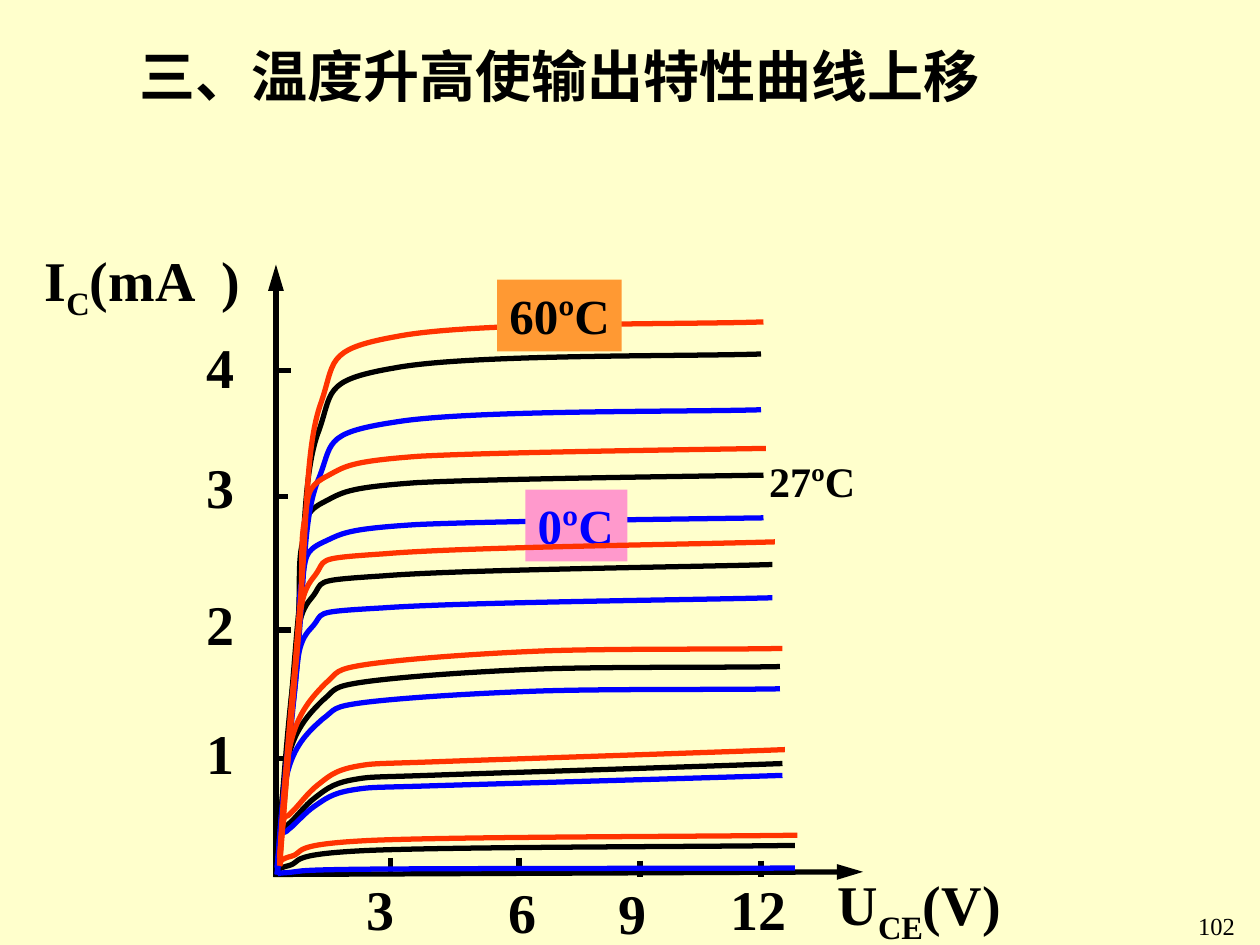
from lxml.etree import SubElement
from pptx import Presentation
from pptx.dml.color import RGBColor
from pptx.enum.shapes import MSO_CONNECTOR as Connector, MSO_SHAPE as Shape
from pptx.enum.text import MSO_ANCHOR as Anchor, MSO_AUTO_SIZE as AutoSize, PP_ALIGN as Align
from pptx.oxml.ns import qn
from pptx.util import Pt

CREAM = RGBColor(0xFF, 0xFF, 0xCC)
BLACK = RGBColor(0x00, 0x00, 0x00)
BLUE = RGBColor(0x00, 0x00, 0xFF)
RED = RGBColor(0xFF, 0x33, 0x00)
PINK = RGBColor(0xFF, 0x99, 0xCC)
ORANGE = RGBColor(0xFF, 0x99, 0x33)
SUBSCRIPT = {"baseline": "-25000"}
WIDE_GAP = {"spc": "650"}

deck = Presentation()
deck.slide_width, deck.slide_height = Pt(720), Pt(540)
slide = deck.slides.add_slide(deck.slide_layouts[6])
slide.background.fill.solid()
slide.background.fill.fore_color.rgb = CREAM
shapes = slide.shapes


def add_label(box, runs, size=32, color=BLACK, bold=True, align=Align.CENTER,
              anchor=Anchor.MIDDLE, wrap=False, fit=AutoSize.SHAPE_TO_FIT_TEXT, fill=None):
    """Put text, given as (wording, run properties) pairs, on a plain or filled box."""
    place = [Pt(value) for value in box]
    if fill is None:
        label = shapes.add_textbox(*place)
    else:
        label = shapes.add_shape(Shape.RECTANGLE, *place)
        label.shadow.inherit = False
        label.fill.solid()
        label.fill.fore_color.rgb = fill
        label.line.fill.background()
    frame = label.text_frame
    frame_format = {"word_wrap": wrap, "auto_size": fit, "vertical_anchor": anchor,
                    "margin_left": Pt(7.2 if align == Align.LEFT else 3), "margin_right": Pt(3)}
    for name, value in frame_format.items():
        setattr(frame, name, value)
    paragraph = frame.paragraphs[0]
    paragraph.alignment = align
    for wording, properties in runs:
        run = paragraph.add_run()
        run.text = wording
        font_format = {"name": "Times New Roman", "size": Pt(size), "bold": bold}
        for name, value in font_format.items():
            setattr(run.font, name, value)
        run.font.color.rgb = color
        for name, value in properties.items():
            run._r.get_or_add_rPr().set(name, value)


def add_stroke(x1, y1, x2, y2, arrow=False):
    """Draw an axis or a tick mark."""
    stroke = shapes.add_connector(Connector.STRAIGHT, Pt(x1), Pt(y1), Pt(x2), Pt(y2))
    stroke.line.color.rgb = BLACK
    stroke.line.width = Pt(3)
    if arrow:
        SubElement(stroke.line._get_or_add_ln(), qn("a:tailEnd"), type="triangle", len="lg")
    SubElement(stroke._element.spPr, qn("a:effectLst"))


# Heading
add_label((72.7, 20.2, 494.6, 46), [("三、温度升高使输出特性曲线上移", {})],
          align=Align.LEFT, anchor=Anchor.TOP)

# Current axis
add_label((18.4, 136.4, 144.7, 51),
          [("I", {}), ("C", SUBSCRIPT), ("(mA", {}), (" ", WIDE_GAP), (")", {})],
          align=Align.LEFT, wrap=True)
add_stroke(157.7, 501, 157.7, 151.2, arrow=True)
for current, tick_x, tick_y, label_y in [("1", 159, 433.4, 406.8), ("2", 157.7, 360, 333),
                                         ("3", 156.2, 283.7, 254.9), ("4", 157.7, 211.7, 186)]:
    add_stroke(tick_x, tick_y, tick_x + 8.6, tick_y)
    add_label((110.9, label_y, 30.2, 46), [(current, {})])

# Voltage axis
add_stroke(156.2, 499.7, 493.2, 498.2, arrow=True)
for voltage, tick_x, tick_y, label_x, label_y, width in [
        ("3", 223.2, 490.3, 202.3, 496, 30.2), ("6", 296.6, 490.3, 283.7, 497.5, 30.2),
        ("9", 365.8, 491.8, 346.3, 498.2, 30.2), ("12", 434.9, 491.8, 410.4, 496, 46)]:
    add_stroke(tick_x, tick_y, tick_x, tick_y + 9.4)
    add_label((label_x, label_y, width, 46), [(voltage, {})])
add_label((471.6, 493.2, 107.3, 51), [("U", {}), ("CE", SUBSCRIPT), ("(V)", {})])

# Curves at 27ºC as cubic Bezier points: offsets right of and above the origin
base_curves = [
    [(0, 0), (1.4, 0.7), (-2.2, 2.9), (6.5, 5), (15.1, 7.2), (3.6, 11.5), (51.8, 13.7),
     (100.1, 15.8), (245.5, 15.8), (295.9, 16.6)],
    [(0, 0), (0.7, 4.3), (0.7, 19.4), (2.2, 23.8), (2.9, 28.8), (3.6, 25.2), (6.5, 28.8),
     (10.1, 31.7), (15.8, 39.6), (21.6, 43.9), (27.4, 48.2), (31, 51.8), (42.5, 54),
     (54.7, 56.2), (52.6, 55.4), (93.6, 56.9), (134.6, 58.3), (247.7, 61.9), (288.7, 63.4)],
    [(0, 0), (0.7, 11.5), (2.2, 51.1), (6.5, 67.7), (10.8, 84.2), (18.7, 92.2), (25.9, 99.4),
     (33.8, 105.8), (30.2, 107.3), (51.1, 110.2), (72, 113), (111.6, 115.9), (150.5, 117.4),
     (190.1, 118.8), (258.5, 118.1), (287.3, 118.8)],
    [(0, 4.3), (1.4, 22.3), (5.8, 86.4), (9.4, 111.6), (12.2, 136.8), (10.8, 147.6),
     (19.4, 157.7), (28.1, 167.8), (16.6, 167.8), (60.5, 170.6), (104.4, 174.2),
     (236.2, 175.7), (283, 177.1)],
    [(0, 4.3), (2.2, 25.9), (8.6, 103), (11.5, 133.9), (13.7, 164.9), (11.5, 176.4),
     (14.4, 189.4), (16.6, 202.3), (15.1, 206.6), (25.9, 212.4), (37.4, 218.2), (38.2, 221),
     (79.9, 223.9), (122.4, 226.1), (236.9, 227.5), (277.9, 228.2)],
    [(0, 0), (2.2, 23.8), (7.9, 99.4), (11.5, 141.1), (15.8, 182.9), (14.4, 226.1),
     (23, 251.3), (32.4, 275.8), (24.5, 282.2), (67, 289.4), (108.7, 297.4),
     (232.6, 295.9), (276.5, 297.4)],
]

# Each temperature stretches the same curves: colour, origin, lowest and other stretch, tag
badge = {"size": 28, "align": Align.LEFT, "anchor": Anchor.TOP}
temperatures = [
    (BLACK, 158.4, 499.7, 1, 1, None),
    (BLUE, 158.4, 499.7, 0.22, 25 / 28,
     {"box": (300.2, 279.8, 58.3, 41), "runs": [("0ºC", {})], "color": BLUE, "fill": PINK,
      "wrap": True}),
    (RED, 159.8, 494.6, 47 / 45, 47 / 45,
     {"box": (284, 159.8, 71.3, 41), "runs": [("60ºC", {})], "fill": ORANGE}),
]
for color, origin_x, origin_y, lowest_stretch, stretch, tag in temperatures:
    for number, curve in enumerate(base_curves):
        rise = stretch if number else lowest_stretch
        start, *rest = [(Pt(origin_x + x), Pt(origin_y - rise * y)) for x, y in curve]
        outline = shapes.build_freeform(*start)
        outline.add_line_segments(rest, close=False)
        characteristic = outline.convert_to_shape()
        # Join every three points into one Bezier segment
        legs = list(characteristic._element.iter(qn("a:lnTo")))
        for first in range(0, len(legs), 3):
            bend = SubElement(legs[0].getparent(), qn("a:cubicBezTo"))
            for leg in legs[first:first + 3]:
                bend.append(leg[0])
                leg.getparent().remove(leg) if first or leg is not legs[0] else None
        legs[0].getparent().remove(legs[0])
        characteristic.shadow.inherit = False
        characteristic.fill.background()
        characteristic.line.color.rgb = color
        characteristic.line.width = Pt(3)
    if tag:
        add_label(**tag, **badge)

# Room temperature tag and page number
add_label((432.4, 257, 63.4, 36), [("27ºC", {})], size=24, align=Align.LEFT, anchor=Anchor.TOP)
add_label((625.7, 517, 139, 23.8), [("102", {})], size=14, bold=False, wrap=True,
          fit=AutoSize.NONE)

deck.save("out.pptx")
